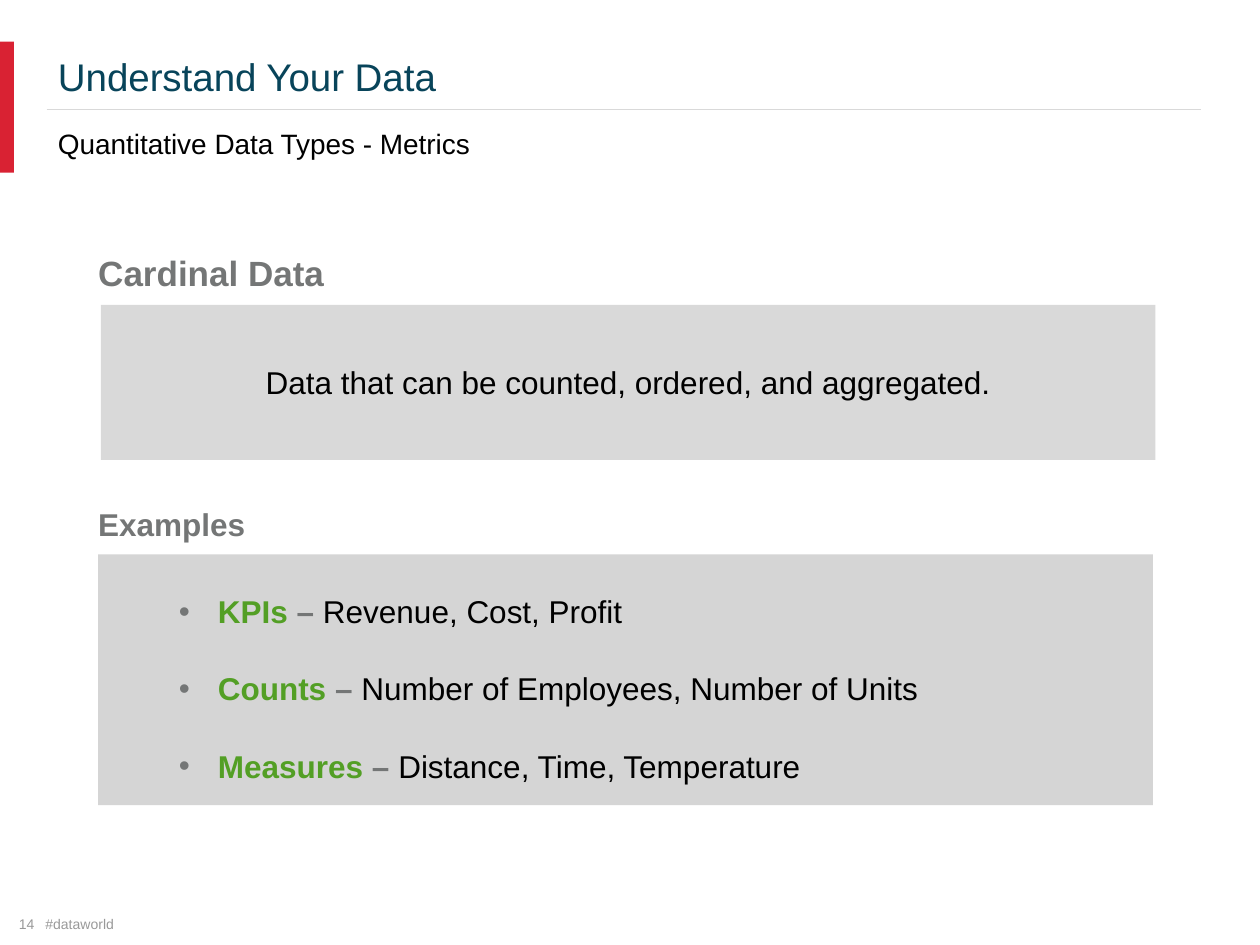
"""Build the slide on quantitative data types: heading, definition panel and examples panel."""
from dataclasses import dataclass

from lxml.etree import SubElement
from pptx import Presentation
from pptx.dml.color import RGBColor
from pptx.enum.shapes import MSO_CONNECTOR as Connector, MSO_SHAPE as Preset
from pptx.enum.text import MSO_ANCHOR as Anchor, MSO_AUTO_SIZE as AutoSize, PP_ALIGN as Align
from pptx.oxml.ns import qn
from pptx.util import Inches, Pt

COLORS = {
    "title": "08445A", "text": "000000", "heading": "747676", "term": "539F25",
    "footer": "999999", "rule": "D9D9D9", "accent": "D92233",
    "definition": "D9D9D9", "examples": "D5D5D5",
}
FONT = "Arial"
WIDTH, HEIGHT = Inches(10), Inches(7.5)
COLUMN, ROW = WIDTH / 100, HEIGHT / 75


@dataclass(frozen=True)
class Area:
    left: float
    top: float
    columns: float
    rows: float

    def box(self) -> tuple[int, int, int, int]:
        return (round(self.left * COLUMN), round(self.top * ROW),
                round(self.columns * COLUMN), round(self.rows * ROW))


@dataclass(frozen=True)
class Label:
    text: str
    area: Area
    size: float
    color: str
    bold: bool = False


@dataclass(frozen=True)
class Example:
    term: str
    items: str


TITLE = Label("Understand Your Data", Area(4.6, 4.2, 90, 3.5), 22, "title")
LABELS = [
    Label("Quantitative Data Types - Metrics", Area(4.6, 10.05, 90, 2.5), 16, "text"),
    Label("Cardinal Data", Area(7.8, 19.95, 83.7, 3.1), 20, "heading", True),
    Label("Examples", Area(7.8, 40.1, 83.7, 2.8), 18, "heading", True),
    Label("14", Area(1.5, 72.65, 1.8, 1.4), 8, "footer"),
    Label("#dataworld", Area(3.6, 72.65, 10, 1.4), 8, "footer"),
]
EXAMPLES = [
    Example("KPIs", "Revenue, Cost, Profit"),
    Example("Counts", "Number of Employees, Number of Units"),
    Example("Measures", "Distance, Time, Temperature"),
]


def rgb(name: str) -> RGBColor:
    return RGBColor.from_string(COLORS[name])


def style(font, size: float, color: str, bold: bool = False) -> None:
    font.name, font.size, font.bold = FONT, Pt(size), bold
    font.color.rgb = rgb(color)


def prepare(frame, anchor: Anchor = Anchor.TOP) -> None:
    frame.margin_left = frame.margin_right = frame.margin_top = frame.margin_bottom = 0
    frame.word_wrap, frame.auto_size = True, AutoSize.NONE
    frame.vertical_anchor = anchor


def write_label(shape, label: Label) -> None:
    shape.left, shape.top, shape.width, shape.height = label.area.box()
    prepare(shape.text_frame)
    paragraph = shape.text_frame.paragraphs[0]
    paragraph.text, paragraph.alignment = label.text, Align.LEFT
    style(paragraph.font, label.size, label.color, label.bold)


def add_panel(slide, area: Area, color: str):
    panel = slide.shapes.add_shape(Preset.RECTANGLE, *area.box())
    panel.shadow.inherit = False
    panel.fill.solid()
    panel.fill.fore_color.rgb = rgb(color)
    panel.line.fill.background()
    return panel


def add_rule(slide, left: float, right: float, row: float) -> None:
    y = round(row * ROW)
    rule = slide.shapes.add_connector(
        Connector.STRAIGHT, round(left * COLUMN), y, round(right * COLUMN), y)
    rule.line.color.rgb, rule.line.width = rgb("rule"), Pt(0.5)
    SubElement(rule._element.spPr, qn("a:effectLst"))


def set_bullet(paragraph, margin: float, hanging: float) -> None:
    properties = paragraph._p.get_or_add_pPr()
    properties.set("marL", str(round(margin * COLUMN)))
    properties.set("indent", str(round(-hanging * COLUMN)))
    color = SubElement(properties, qn("a:buClr"))
    SubElement(color, qn("a:srgbClr"), val=COLORS["heading"])
    SubElement(properties, qn("a:buFont"), typeface=FONT)
    SubElement(properties, qn("a:buChar"), char="•")


def write_examples(frame, examples: list[Example]) -> None:
    prepare(frame)
    frame.margin_top = round(3 * ROW)
    for index, example in enumerate(examples):
        paragraph = frame.add_paragraph() if index else frame.paragraphs[0]
        paragraph.alignment = Align.LEFT
        if index:
            paragraph.space_before = Pt(22.5)
        set_bullet(paragraph, 9.5, 3.1)
        parts = [(f"{example.term} ", "term", True), ("– ", "heading", True),
                 (example.items, "text", False)]
        for text, color, bold in parts:
            run = paragraph.add_run()
            run.text = text
            style(run.font, 18, color, bold)


def main() -> None:
    deck = Presentation()
    deck.slide_width, deck.slide_height = WIDTH, HEIGHT
    slide = deck.slides.add_slide(deck.slide_layouts[5])
    write_label(slide.shapes.title, TITLE)
    add_rule(slide, 3.7, 95.3, 8.7)
    add_panel(slide, Area(0, 3.3, 1.1, 10.4), "accent")

    definition = add_panel(slide, Area(8, 24.2, 83.7, 12.3), "definition").text_frame
    prepare(definition, Anchor.MIDDLE)
    sentence = definition.paragraphs[0]
    sentence.text = "Data that can be counted, ordered, and aggregated."
    sentence.alignment = Align.CENTER
    style(sentence.font, 18, "text")

    examples = add_panel(slide, Area(7.8, 44, 83.7, 19.9), "examples")
    write_examples(examples.text_frame, EXAMPLES)
    for label in LABELS:
        write_label(slide.shapes.add_textbox(*label.area.box()), label)
    deck.save("out.pptx")


if __name__ == "__main__":
    main()
